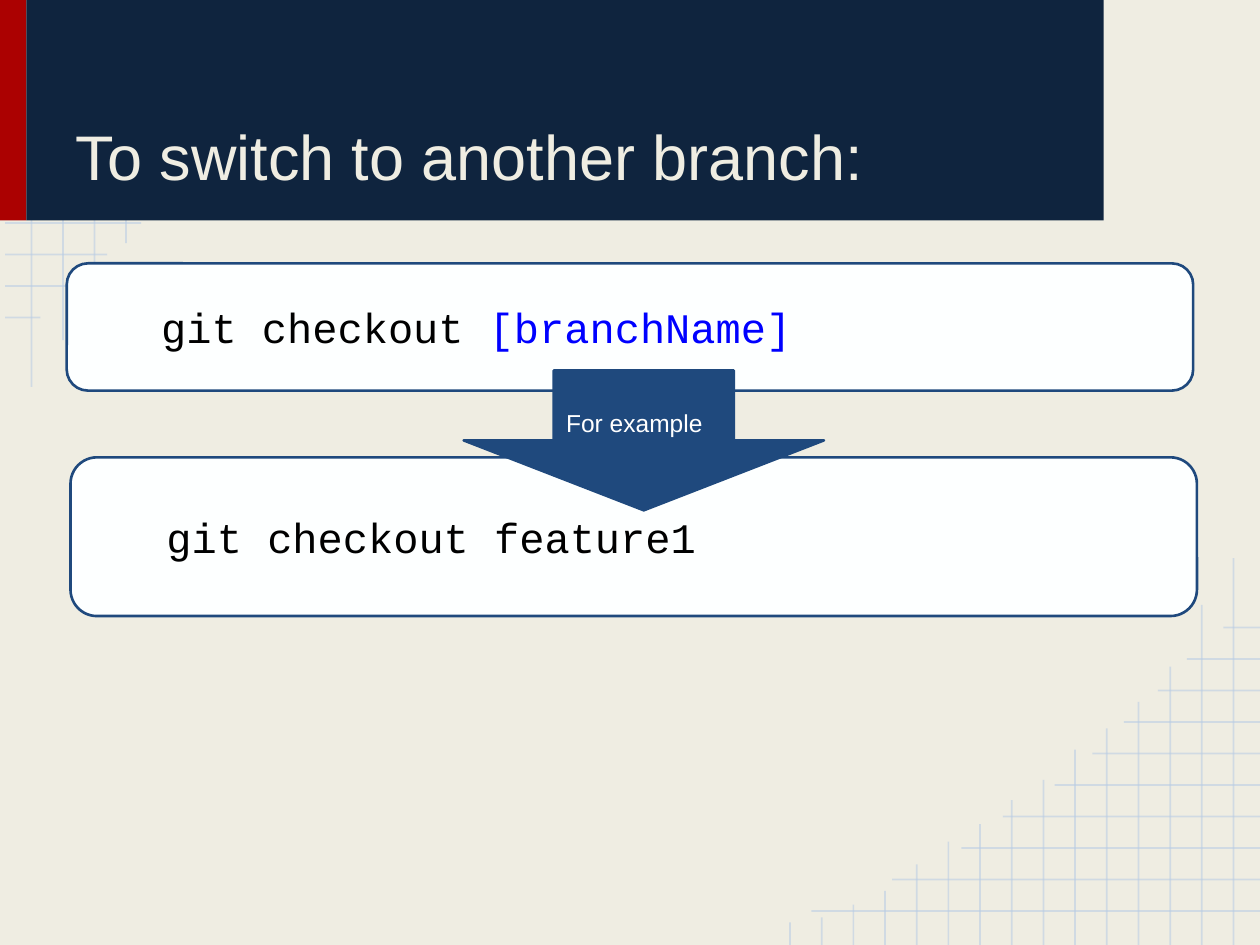
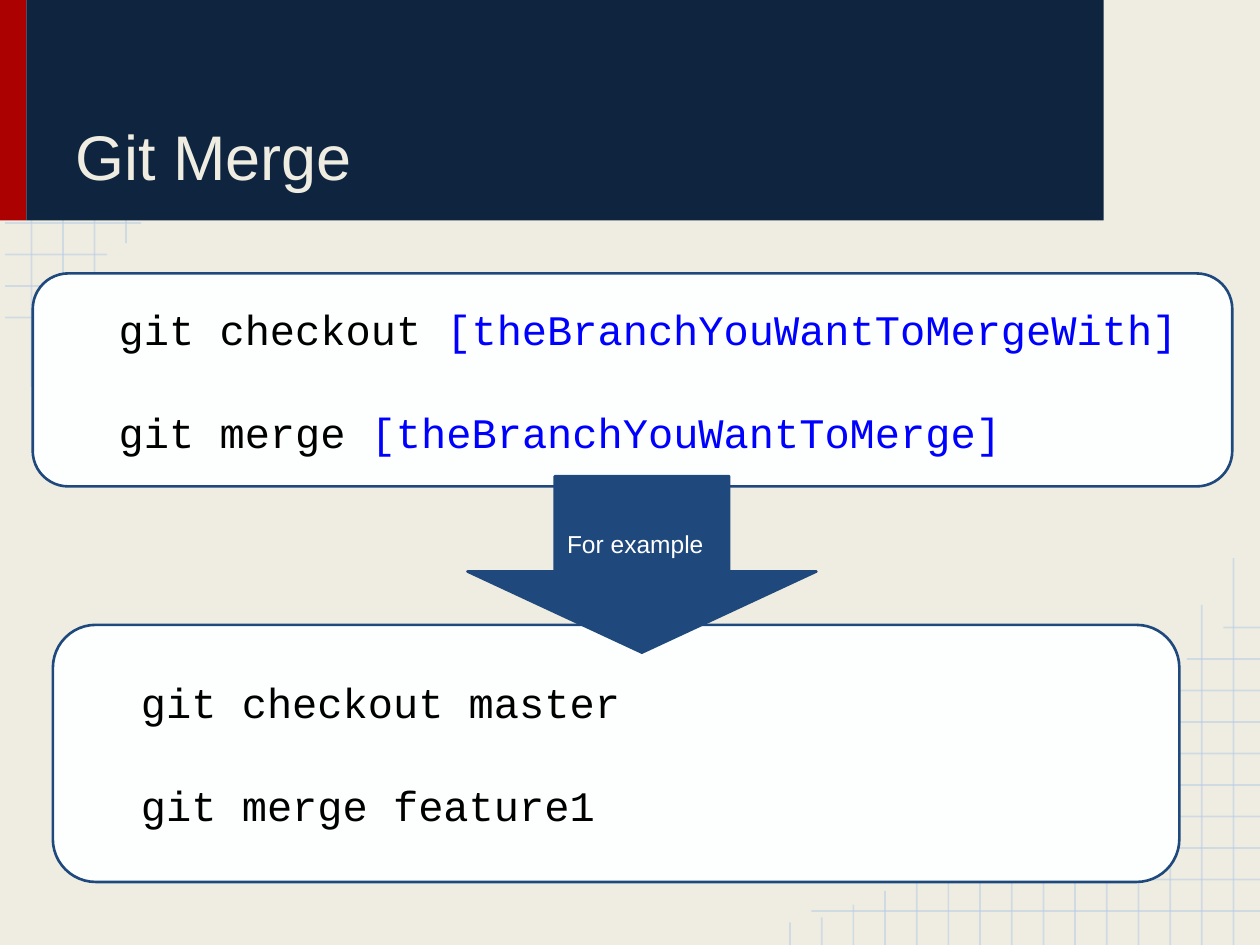
from lxml.etree import SubElement
from pptx import Presentation
from pptx.dml.color import RGBColor
from pptx.enum.shapes import MSO_CONNECTOR, MSO_SHAPE
from pptx.enum.text import MSO_ANCHOR, MSO_AUTO_SIZE, PP_ALIGN
from pptx.oxml.ns import qn
from pptx.util import Inches, Pt

CREAM, NAVY, RED = "EFEDE2", "0F243E", "AB0101"
BLUE, GRID, PANEL = "1F497D", "B7CCE4", "FDFFFF"
BLACK, ARGUMENT, WHITE = "000000", "0000FF", "FFFFFF"
SANS, MONO = "Arial", "Courier New"

# Grid lines: each list gives where successive lines end
LEFT_ROWS = [1.12, 0.85, 0.62, 0.32]
LEFT_COLUMNS = [3.07, 2.7, 2.21, 1.93]
RIGHT_ROWS = [9.71, 9.42, 9.19, 8.92, 8.67, 8.37, 7.96, 7.63, 7.08, 6.44]
RIGHT_COLUMNS = [7.32, 7.28, 7.18, 7.07, 6.86, 6.68, 6.54, 6.35,
                 6.19, 5.95, 5.78, 5.57, 5.29, 4.8, 4.43]
GRID_STEP = 0.25
RIGHT_COLUMN_STEP = (9.79 - 6.27) / (len(RIGHT_COLUMNS) - 1)


def color(value):
    return RGBColor.from_string(value)


class GitDeck:
    def __init__(self):
        self.presentation = Presentation()
        self.presentation.slide_width = Inches(10)
        self.presentation.slide_height = Inches(7.5)
        background = self.presentation.slide_master.background.fill
        background.solid()
        background.fore_color.rgb = color(CREAM)
        self.slide = None

    def add_slide(self, title):
        layout = self.presentation.slide_layouts.get_by_name("Title Only")
        self.slide = self.presentation.slides.add_slide(layout)
        self.grid()
        self.shape(MSO_SHAPE.RECTANGLE, 0, 0, 0.21, 1.75, RED)
        self.shape(MSO_SHAPE.RECTANGLE, 0.21, 0, 8.55, 1.75, NAVY)
        self.title(title)

    def title(self, text):
        title = self.slide.shapes.title
        title.left, title.top = Inches(0.5), Inches(0.15)
        title.width, title.height = Inches(8), Inches(1.48)
        # Bring the title in front of the band
        self.slide.shapes.element.append(title.element)
        frame = title.text_frame
        frame.text = text
        frame.auto_size = MSO_AUTO_SIZE.NONE
        self.frame(frame, MSO_ANCHOR.BOTTOM)
        self.format(frame.paragraphs[0], SANS, 36, CREAM)

    def grid(self):
        for index, end in enumerate(LEFT_ROWS):
            y = 1.77 + index * GRID_STEP
            self.grid_line(0.04, y, end, y)
        for index, end in enumerate(LEFT_COLUMNS):
            x = 0.25 + index * GRID_STEP
            self.grid_line(x, end, x, 0)
        for index, end in enumerate(RIGHT_ROWS):
            y = 4.98 + index * GRID_STEP
            self.grid_line(10, y, end, y)
        for index, end in enumerate(RIGHT_COLUMNS):
            x = 6.27 + index * RIGHT_COLUMN_STEP
            self.grid_line(x, end, x, 7.5)

    def grid_line(self, *ends):
        line = self.slide.shapes.add_connector(
            MSO_CONNECTOR.STRAIGHT, *[Inches(end) for end in ends])
        line.line.color.rgb = color(GRID)
        line.line.width = Pt(1)
        properties = line.element.spPr
        rgb = next(properties.iter(qn("a:srgbClr")))
        SubElement(rgb, qn("a:alpha"), val="54000")
        SubElement(properties, qn("a:effectLst"))

    def shape(self, kind, left, top, width, height, fill, outline=None):
        shape = self.slide.shapes.add_shape(
            kind, Inches(left), Inches(top), Inches(width), Inches(height))
        shape.shadow.inherit = False
        shape.fill.solid()
        shape.fill.fore_color.rgb = color(fill)
        if outline:
            shape.line.color.rgb = color(outline)
            shape.line.width = Pt(1.5)
        else:
            shape.line.fill.background()
        return shape

    def frame(self, frame, anchor, indent=0):
        frame.word_wrap = True
        frame.vertical_anchor = anchor
        frame.margin_left = Inches(0.1 + indent)
        frame.margin_right = frame.margin_top = frame.margin_bottom = Inches(0.1)

    def format(self, paragraph, font, size, text_color):
        paragraph.alignment = PP_ALIGN.LEFT
        paragraph.font.name = font
        paragraph.font.size = Pt(size)
        paragraph.font.color.rgb = color(text_color)

    def code_panel(self, left, top, width, height, commands, indent):
        """Each command is a pair: fixed text and a placeholder argument."""
        panel = self.shape(MSO_SHAPE.ROUNDED_RECTANGLE, left, top, width, height,
                           PANEL, BLUE)
        frame = panel.text_frame
        self.frame(frame, MSO_ANCHOR.MIDDLE, indent)
        for index, (command, argument) in enumerate(commands):
            paragraph = frame.add_paragraph() if index else frame.paragraphs[0]
            if index:
                paragraph.space_before = Pt(30)
            self.format(paragraph, MONO, 24, BLACK)
            paragraph.add_run().text = command
            if argument:
                run = paragraph.add_run()
                run.text = argument
                run.font.color.rgb = color(ARGUMENT)

    def example_arrow(self, left, top, width, height, head=0.5):
        arrow = self.shape(MSO_SHAPE.DOWN_ARROW, left, top, width, height, BLUE, BLUE)
        arrow.adjustments[1] = head
        frame = arrow.text_frame
        frame.text = "For example"
        self.frame(frame, MSO_ANCHOR.MIDDLE)
        self.format(frame.paragraphs[0], SANS, 14, WHITE)


def main():
    deck = GitDeck()

    # Switching branches
    deck.add_slide("To switch to another branch:")
    deck.code_panel(0.53, 2.09, 8.94, 1.01,
                    [("git checkout ", "[branchName]")], indent=0.6)
    deck.code_panel(0.56, 3.63, 8.94, 1.26,
                    [("git checkout feature1", "")], indent=0.6)
    deck.example_arrow(3.68, 2.94, 2.86, 1.11)

    # Merging branches
    deck.add_slide("Git Merge")
    deck.code_panel(0.42, 4.96, 8.94, 2.04,
                    [("git checkout master", ""), ("git merge feature1", "")],
                    indent=0.5)
    deck.code_panel(0.26, 2.17, 9.52, 1.69,
                    [("git checkout ", "[theBranchYouWantToMergeWith]"),
                     ("git merge ", "[theBranchYouWantToMerge]")], indent=0.5)
    deck.example_arrow(3.71, 3.78, 2.77, 1.4, head=0.46)

    deck.presentation.save("out.pptx")


if __name__ == "__main__":
    main()
